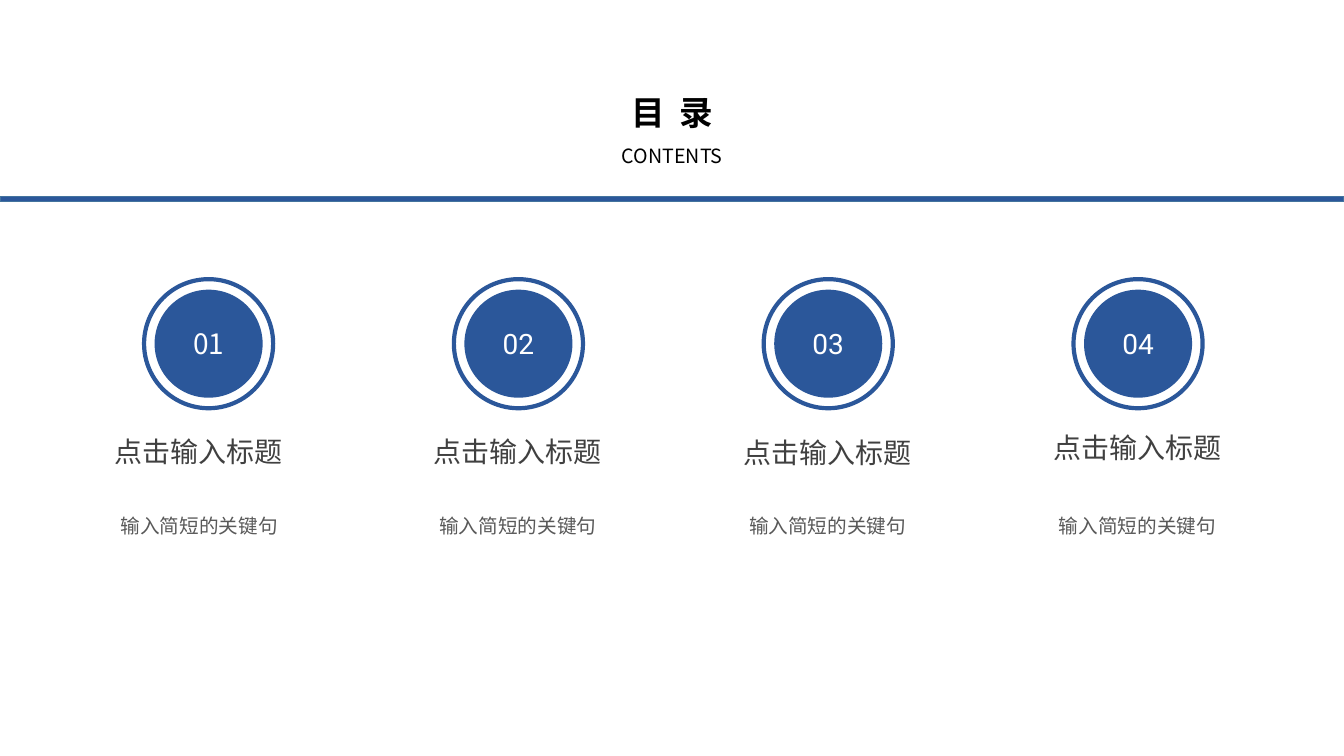
from lxml.etree import SubElement
from pptx import Presentation
from pptx.dml.color import RGBColor
from pptx.enum.shapes import MSO_SHAPE
from pptx.enum.text import MSO_ANCHOR, MSO_AUTO_SIZE, PP_ALIGN
from pptx.oxml.ns import qn
from pptx.util import Pt

TITLE = "目  录"
SUBTITLE = "CONTENTS"
ITEMS = [
    {"number": "01", "face": "Noto Sans CJK SC", "heading": "点击输入标题",
     "sentence": "输入简短的关键句", "text_shift": -28, "heading_top": 306.7},
    {"number": "02", "face": "Roboto", "heading": "点击输入标题",
     "sentence": "输入简短的关键句", "text_shift": -21.7, "heading_top": 306.7},
    {"number": "03", "face": "Roboto", "heading": "点击输入标题",
     "sentence": "输入简短的关键句", "text_shift": -21.7, "heading_top": 307.4},
    {"number": "04", "face": "Roboto", "heading": "点击输入标题",
     "sentence": "输入简短的关键句", "text_shift": -21.7, "heading_top": 303.8},
]
THEME = {
    "blue": "2B579A", "rule_edge": "43739E", "white": "FFFFFF",
    "black": "000000", "heading": "404040", "sentence": "595959",
    "cjk": "Noto Sans CJK SC", "latin": "Arial",
    "title_size": 24, "large": 20, "small": 14,
}
SLIDE_W, SLIDE_H = 960, 540
RING_LEFT, RING_TOP, RING_SIZE, RING_STEP = 102.9, 199.4, 92.2, 221.3
DISC_SIZE = 77.2
DISC_INSET = (RING_SIZE - DISC_SIZE) / 2
SENTENCE_INDENT, SENTENCE_TOP = 4.2, 363.6


def color(name):
    return RGBColor.from_string(THEME[name])


def write(p, text, size, ink, face, bold=False):
    p.text = text
    font = p.font
    font.size, font.bold, font.name = Pt(THEME[size]), bold, face
    font.color.rgb = color(ink)
    props = p._p.pPr.find(qn("a:defRPr"))
    SubElement(props, qn("a:ea")).set("typeface", THEME["cjk"])


def add_shape(shapes, kind, left, top, width, height, fill=None, line=None, weight=1):
    sp = shapes.add_shape(kind, Pt(left), Pt(top), Pt(width), Pt(height))
    sp.shadow.inherit = False
    if fill:
        sp.fill.solid()
        sp.fill.fore_color.rgb = color(fill)
    else:
        sp.fill.background()
    if line:
        sp.line.color.rgb = color(line)
        sp.line.width = Pt(weight)
    else:
        sp.line.fill.background()
    return sp


def add_text(slide, left, top, width, height, wrap=False):
    tf = slide.shapes.add_textbox(Pt(left), Pt(top), Pt(width), Pt(height)).text_frame
    tf.word_wrap = wrap
    tf.auto_size = MSO_AUTO_SIZE.SHAPE_TO_FIT_TEXT
    return tf


def add_header(slide):
    tf = add_text(slide, 421.2, 47.5, 118, 76.3, wrap=True)
    lines = [(TITLE, "title_size", True), (SUBTITLE, "small", False)]
    for i, (text, size, bold) in enumerate(lines):
        p = tf.add_paragraph() if i else tf.paragraphs[0]
        p.alignment, p.line_spacing = PP_ALIGN.CENTER, 1.5
        write(p, text, size, "black", THEME["cjk"], bold)
    add_shape(slide.shapes, MSO_SHAPE.RECTANGLE, 0, 140.4, SLIDE_W, 3.6,
              "blue", "rule_edge")


def add_item(slide, i, item):
    left = RING_LEFT + i * RING_STEP
    badge = slide.shapes.add_group_shape()
    disc = add_shape(badge.shapes, MSO_SHAPE.OVAL, left + DISC_INSET,
                     RING_TOP + DISC_INSET, DISC_SIZE, DISC_SIZE, fill="blue")
    add_shape(badge.shapes, MSO_SHAPE.OVAL, left, RING_TOP, RING_SIZE, RING_SIZE,
              line="blue", weight=3)
    tf = disc.text_frame
    tf.vertical_anchor = MSO_ANCHOR.MIDDLE
    p = tf.paragraphs[0]
    p.alignment = PP_ALIGN.CENTER
    write(p, item["number"], "large", "white", item["face"])

    text_left = left + item["text_shift"]
    tf = add_text(slide, text_left, item["heading_top"], 135.4, 31.7)
    write(tf.paragraphs[0], item["heading"], "large", "heading", THEME["latin"])
    tf = add_text(slide, text_left + SENTENCE_INDENT, SENTENCE_TOP, 127.4, 24.5)
    write(tf.paragraphs[0], item["sentence"], "small", "sentence", THEME["cjk"])


def main():
    prs = Presentation()
    prs.slide_width, prs.slide_height = Pt(SLIDE_W), Pt(SLIDE_H)
    slide = prs.slides.add_slide(prs.slide_layouts[6])
    add_header(slide)
    for i, item in enumerate(ITEMS):
        add_item(slide, i, item)
    prs.save("out.pptx")


if __name__ == "__main__":
    main()
